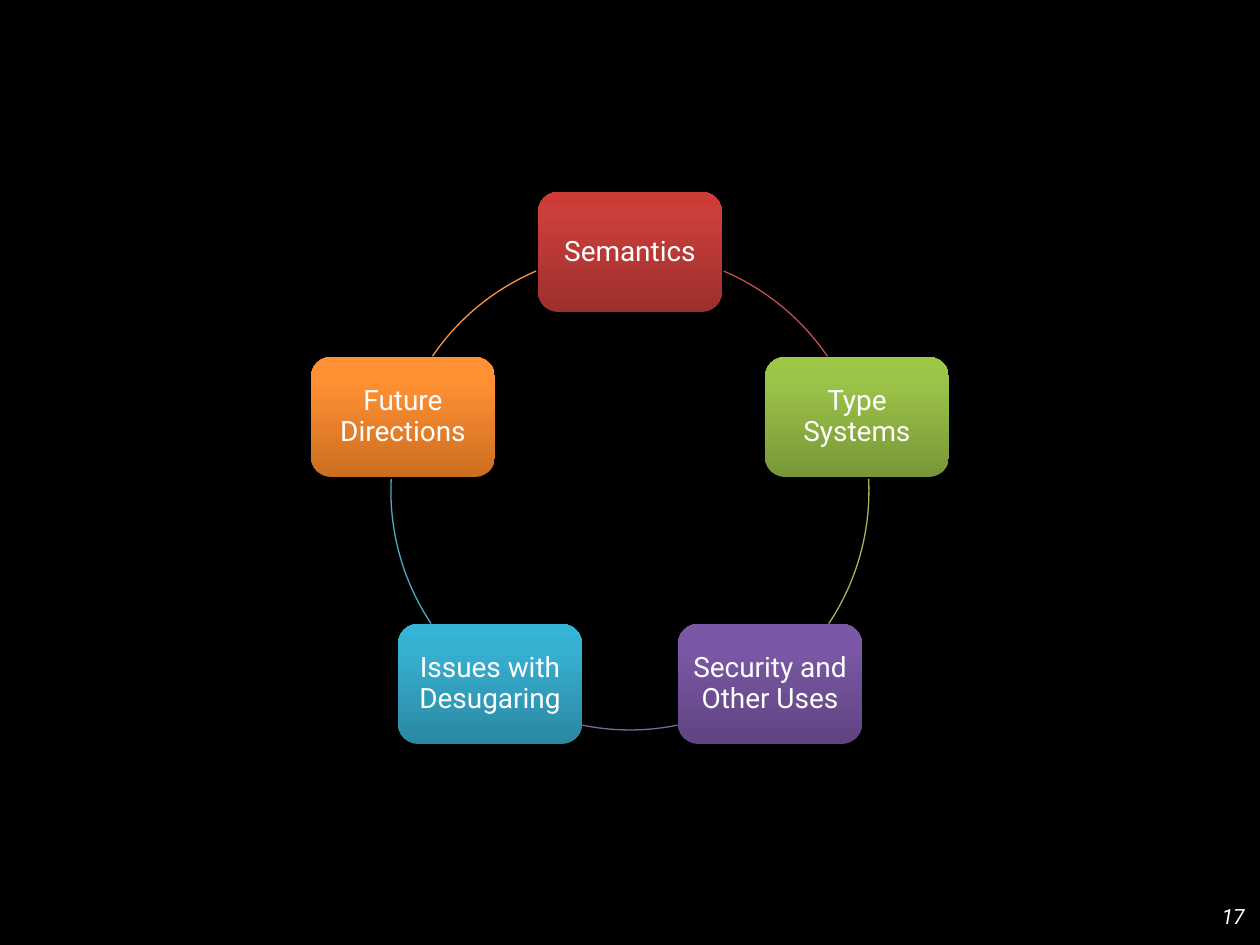
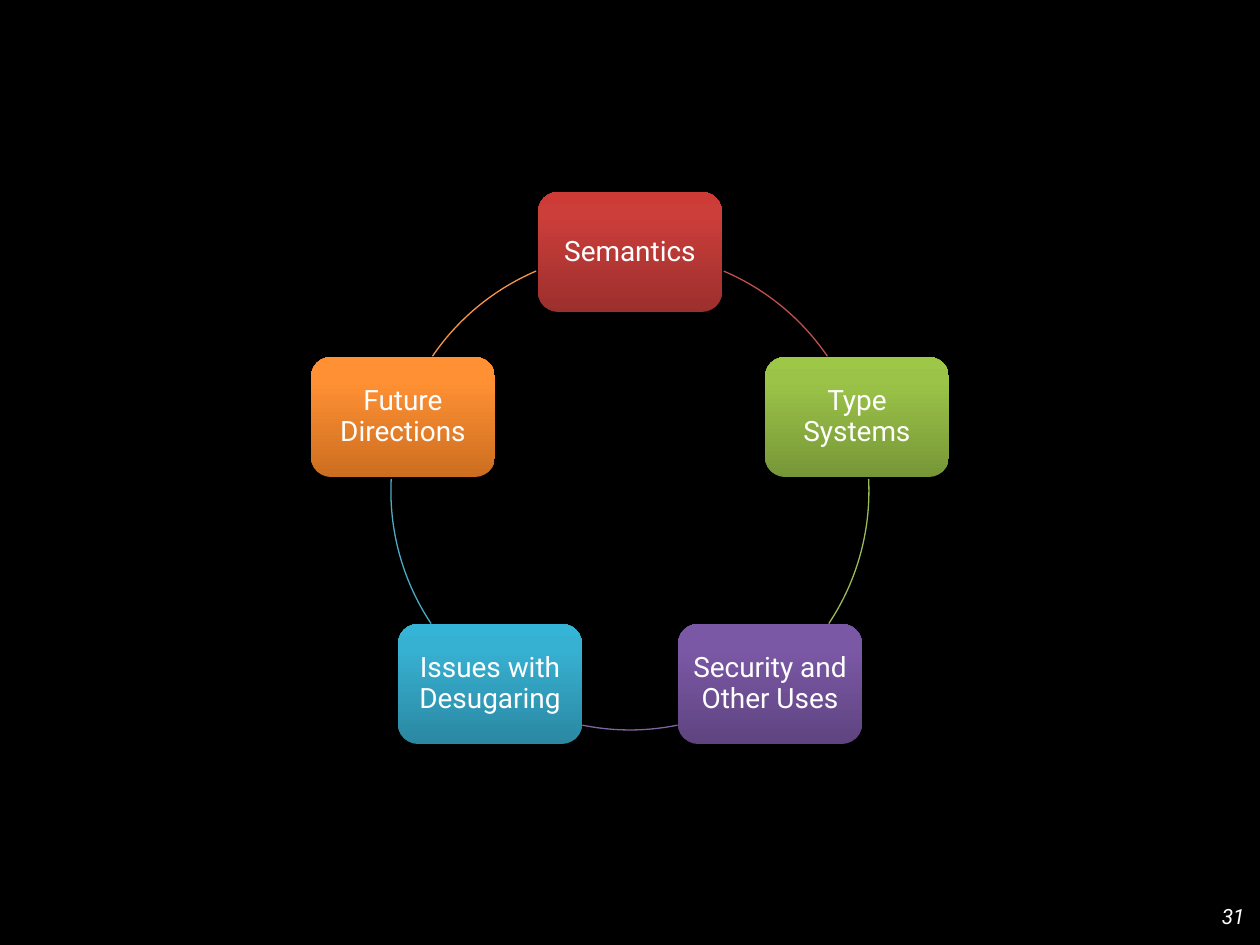
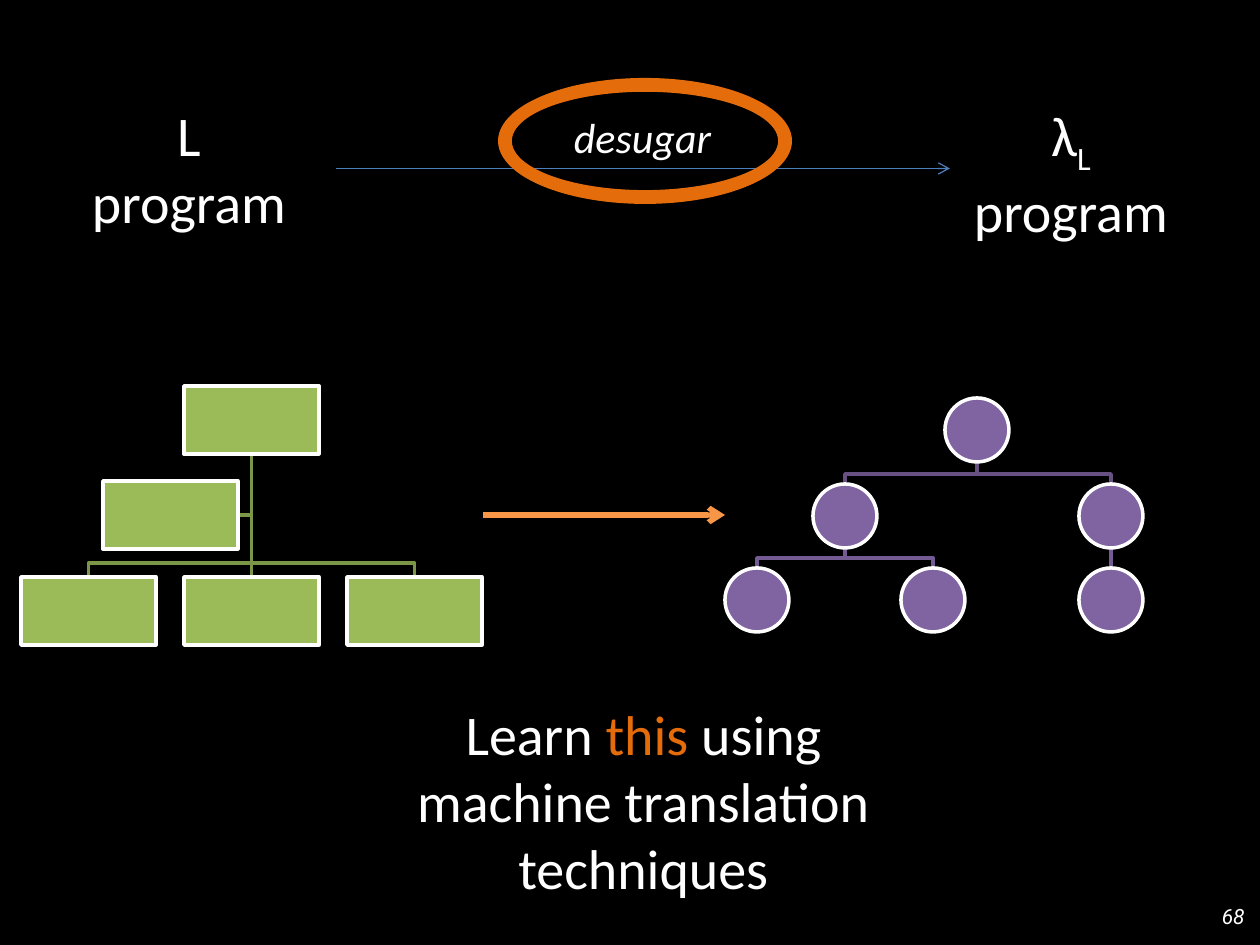
from copy import deepcopy
from dataclasses import dataclass
from math import cos, radians, sin

from lxml.etree import SubElement
from pptx import Presentation
from pptx.dml.color import RGBColor
from pptx.enum.shapes import MSO_CONNECTOR, MSO_SHAPE
from pptx.enum.text import MSO_ANCHOR, PP_ALIGN
from pptx.oxml.ns import qn
from pptx.shapes.autoshape import Shape
from pptx.shapes.connector import Connector
from pptx.slide import Slide
from pptx.text.text import TextFrame
from pptx.util import Emu, Pt

PX_PER_INCH = 126
TOP, LEFT, BOTTOM, RIGHT = range(4)


@dataclass(frozen=True)
class Theme:
    background: str = "000000"
    text: str = "FFFFFF"
    highlight: str = "E46C0A"
    desugar_arrow: str = "4B7EBC"
    tree_arrow: str = "F79646"
    source_node: str = "9BBB59"
    source_branch: str = "7C9647"
    core_node: str = "8064A2"
    core_upper_branch: str = "675082"
    core_lower_branch: str = "745B93"
    ring_font: str = "Roboto"
    body_font: str = "Calibri"
    statement_size: int = 32
    step_size: int = 24
    topic_size: int = 16
    number_size: int = 12
    thin: float = 0.75
    medium: float = 2
    thick: float = 3


THEME = Theme()


@dataclass(frozen=True)
class Box:
    left: int
    top: int
    width: int
    height: int

    def emu(self) -> tuple[Emu, ...]:
        return tuple(map(px, (self.left, self.top, self.width, self.height)))


@dataclass(frozen=True)
class Topic:
    label: str
    gradient: tuple[str, str, str]
    arc_color: str
    arc_start: float
    arc_end: float


@dataclass(frozen=True)
class Piece:
    text: str
    color: str | None = None
    subscript: bool = False


@dataclass(frozen=True)
class Branch:
    parent: str
    child: str
    color: str
    rise: int


TOPICS = (
    Topic("Semantics", ("9C2F2D", "CB3E3A", "CE3B37"), "C0504D", 293.1, 325.7),
    Topic("Type Systems", ("779737", "9BC348", "9DC746"), "9BBB59", 357.1, 33.7),
    Topic("Security and Other Uses", ("5F4480", "7B58A6", "7C57A8"), "8064A2", 78.5, 101.5),
    Topic("Issues with Desugaring", ("2A88A2", "37B1D2", "34B4D6"), "4BACC6", 146.3, 182.9),
    Topic("Future Directions", ("CC6E20", "FF9034", "FF9136"), "F79646", 214.3, 246.9),
)
GRADIENT_POSITIONS = (0, 0.8, 1)
RING = Box(391, 252, 478, 478)
CARD_WIDTH, CARD_HEIGHT = 184, 120

SOURCE_NODES = {
    "root": (184, 386),
    "assistant": (103, 481),
    **{f"leaf {i}": (21 + 163 * i, 577) for i in range(3)},
}
SOURCE_SIZE = (135, 68)
SOURCE_BRANCHES = [Branch("root", f"leaf {i}", THEME.source_branch, 14) for i in range(3)]

CORE_NODES = {
    "root": (945, 398),
    "left": (813, 484),
    "right": (1079, 484),
    "left first": (725, 568),
    "left second": (901, 568),
    "right only": (1079, 568),
}
CORE_SIZE = (64, 64)
CORE_BRANCHES = [
    Branch("root", "left", THEME.core_upper_branch, 10),
    Branch("root", "right", THEME.core_upper_branch, 10),
    Branch("left", "left first", THEME.core_lower_branch, 10),
    Branch("left", "left second", THEME.core_lower_branch, 10),
    Branch("right", "right only", THEME.core_lower_branch, 10),
]


def px(value: float) -> Emu:
    return Emu(round(value * 914400 / PX_PER_INCH))


def rgb(color: str) -> RGBColor:
    return RGBColor.from_string(color)


def write(frame: TextFrame, pieces: list[Piece], size: int, font: str,
          align: PP_ALIGN = PP_ALIGN.CENTER, italic: bool = False) -> None:
    frame.word_wrap = True
    paragraph = frame.paragraphs[0]
    paragraph.alignment = align
    paragraph.font.size = Pt(size)
    paragraph.font.name = font
    paragraph.font.italic = italic
    paragraph.font.color.rgb = rgb(THEME.text)
    for piece in pieces:
        for row, words in enumerate(piece.text.split("\n")):
            if row:
                paragraph.add_line_break()
            if not words:
                continue
            run = paragraph.add_run()
            run.text = words
            if piece.color:
                run.font.color.rgb = rgb(piece.color)
            if piece.subscript:
                run.font._element.set("baseline", "-25000")


def add_text(slide: Slide, box: Box, pieces: list[Piece], size: int = THEME.statement_size,
             font: str = THEME.body_font, align: PP_ALIGN = PP_ALIGN.CENTER,
             italic: bool = False) -> Shape:
    text = slide.shapes.add_textbox(*box.emu())
    write(text.text_frame, pieces, size, font, align, italic)
    return text


def add_figure(slide: Slide, kind: MSO_SHAPE, box: Box, fill: str | None = None,
               line: str | None = None, width: float = THEME.medium) -> Shape:
    figure = slide.shapes.add_shape(kind, *box.emu())
    style_figure(figure, fill, line, width)
    return figure


def style_figure(figure: Shape, fill: str | None, line: str | None, width: float) -> None:
    figure.shadow.inherit = False
    if fill:
        figure.fill.solid()
        figure.fill.fore_color.rgb = rgb(fill)
    else:
        figure.fill.background()
    if line:
        figure.line.color.rgb = rgb(line)
        figure.line.width = Pt(width)
    else:
        figure.line.fill.background()


def add_line(slide: Slide, start: tuple[int, int], end: tuple[int, int], color: str,
             width: float, arrow: bool = False) -> Connector:
    line = slide.shapes.add_connector(MSO_CONNECTOR.STRAIGHT, *map(px, start + end))
    line.line.color.rgb = rgb(color)
    line.line.width = Pt(width)
    properties = line._element.spPr
    if arrow:
        SubElement(properties.find(qn("a:ln")), qn("a:tailEnd"), type="arrow")
    SubElement(properties, qn("a:effectLst"))
    return line


def add_polyline(slide: Slide, points: list[tuple[int, int]], color: str) -> Shape:
    builder = slide.shapes.build_freeform(*points[0], scale=1.0)
    builder.add_line_segments(points[1:], close=False)
    polyline = builder.convert_to_shape()
    style_figure(polyline, None, color, THEME.medium)
    return polyline


def send_to_back(slide: Slide, item: Shape | Connector) -> None:
    slide.shapes._spTree.insert(2, item._element)


def add_branch(slide: Slide, parent: Shape, child: Shape, color: str, rise: int) -> None:
    parent_x = parent.left + parent.width // 2
    child_x = child.left + child.width // 2
    parent_bottom = parent.top + parent.height
    if parent_x == child_x:
        link = add_line(slide, (0, 0), (0, 0), color, THEME.medium)
        link.begin_connect(parent, BOTTOM)
        link.end_connect(child, TOP)
    else:
        bend = child.top - px(rise)
        link = add_polyline(slide, [(parent_x, parent_bottom), (parent_x, bend),
                                    (child_x, bend), (child_x, child.top)], color)
    send_to_back(slide, link)


def add_tree(slide: Slide, kind: MSO_SHAPE, places: dict[str, tuple[int, int]],
             size: tuple[int, int], fill: str, branches: list[Branch]) -> dict[str, Shape]:
    nodes = {key: add_figure(slide, kind, Box(*place, *size), fill, THEME.text)
             for key, place in places.items()}
    for branch in branches:
        add_branch(slide, nodes[branch.parent], nodes[branch.child], branch.color, branch.rise)
    return nodes


def add_topic_card(slide: Slide, topic: Topic, position: int) -> None:
    angle = radians(360 / len(TOPICS) * position - 90)
    radius = RING.width / 2
    left = round(RING.left + radius + radius * cos(angle) - CARD_WIDTH / 2)
    top = round(RING.top + radius + radius * sin(angle) - CARD_HEIGHT / 2)
    card = add_figure(slide, MSO_SHAPE.ROUNDED_RECTANGLE, Box(left, top, CARD_WIDTH, CARD_HEIGHT))

    card.fill.gradient()
    card.fill.gradient_angle = 90
    stops = card._element.spPr.find(qn("a:gradFill")).find(qn("a:gsLst"))
    stops.append(deepcopy(stops[0]))
    for stop, color, place in zip(card.fill.gradient_stops, topic.gradient, GRADIENT_POSITIONS):
        stop.color.rgb = rgb(color)
        stop.position = place

    frame = card.text_frame
    frame.vertical_anchor = MSO_ANCHOR.MIDDLE
    frame.margin_left = frame.margin_right = frame.margin_top = frame.margin_bottom = px(8)
    write(frame, [Piece(topic.label)], THEME.topic_size, THEME.ring_font)
    frame.paragraphs[0].line_spacing = 0.9


def add_topic_arc(slide: Slide, topic: Topic) -> None:
    arc = add_figure(slide, MSO_SHAPE.ARC, RING, line=topic.arc_color, width=THEME.thin)
    for index, degrees in enumerate((topic.arc_start, topic.arc_end)):
        arc.adjustments[index] = degrees * 0.6


def add_slide(deck: Presentation, number: int) -> Slide:
    slide = deck.slides.add_slide(deck.slide_layouts[6])
    slide.background.fill.solid()
    slide.background.fill.fore_color.rgb = rgb(THEME.background)
    page = add_text(slide, Box(963, 891, 294, 50), [Piece(str(number))], THEME.number_size,
                    THEME.ring_font, PP_ALIGN.RIGHT, italic=True)
    page.text_frame.vertical_anchor = MSO_ANCHOR.MIDDLE
    return slide


def add_topic_ring(deck: Presentation, number: int) -> None:
    slide = add_slide(deck, number)
    for position, topic in enumerate(TOPICS):
        add_topic_card(slide, topic, position)
        add_topic_arc(slide, topic)


def add_desugaring(deck: Presentation, number: int) -> None:
    slide = add_slide(deck, number)
    source_program = add_text(slide, Box(42, 94, 294, 149), [Piece("L\nprogram")])
    core_program = add_text(slide, Box(950, 94, 242, 149), [
        Piece("λ"), Piece("L", subscript=True), Piece("\nprogram")])
    desugar = add_line(slide, (336, 169), (950, 169), THEME.desugar_arrow, THEME.thin, arrow=True)
    desugar.begin_connect(source_program, RIGHT)
    desugar.end_connect(core_program, LEFT)
    add_text(slide, Box(548, 105, 189, 63), [Piece("desugar")], THEME.step_size, italic=True)

    source_tree = add_tree(slide, MSO_SHAPE.RECTANGLE, SOURCE_NODES, SOURCE_SIZE,
                           THEME.source_node, SOURCE_BRANCHES)
    root, assistant = source_tree["root"], source_tree["assistant"]
    trunk_x = root.left + root.width // 2
    assistant_y = assistant.top + assistant.height // 2
    side_branch = add_polyline(slide, [
        (trunk_x, root.top + root.height), (trunk_x, assistant_y),
        (assistant.left + assistant.width, assistant_y)], THEME.source_branch)
    send_to_back(slide, side_branch)

    add_tree(slide, MSO_SHAPE.OVAL, CORE_NODES, CORE_SIZE, THEME.core_node, CORE_BRANCHES)
    add_line(slide, (483, 515), (725, 515), THEME.tree_arrow, THEME.thick, arrow=True)
    add_text(slide, Box(336, 693, 615, 217), [
        Piece("Learn "), Piece("this", THEME.highlight),
        Piece(" using\nmachine translation techniques")])
    emphasis = add_figure(slide, MSO_SHAPE.DONUT, Box(498, 78, 294, 126), THEME.highlight)
    emphasis.adjustments[0] = 0.11


def main() -> None:
    deck = Presentation()
    deck.slide_width = px(1260)
    deck.slide_height = px(945)
    for number in (17, 31):
        add_topic_ring(deck, number)
    add_desugaring(deck, 68)
    deck.save("out.pptx")


if __name__ == "__main__":
    main()
